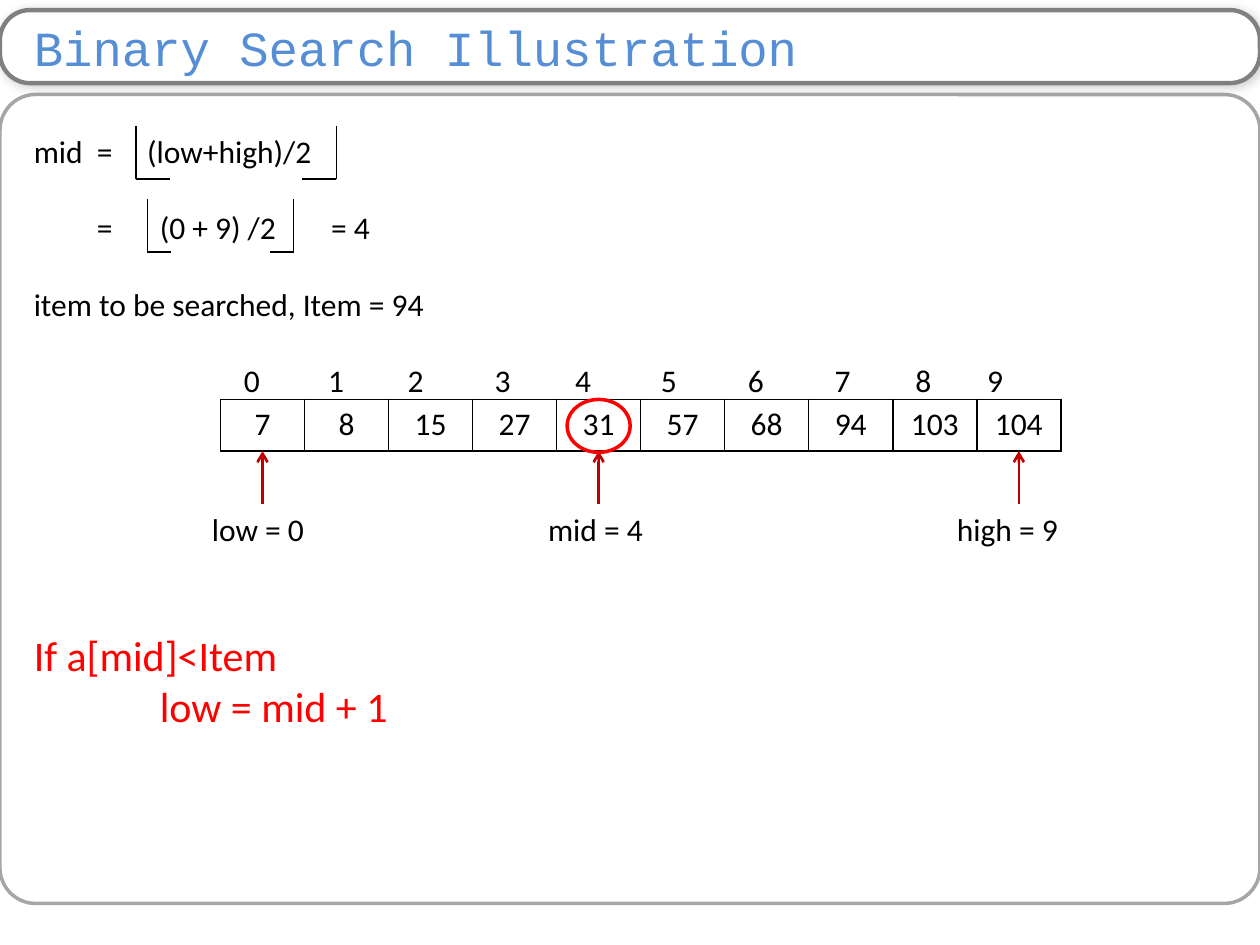
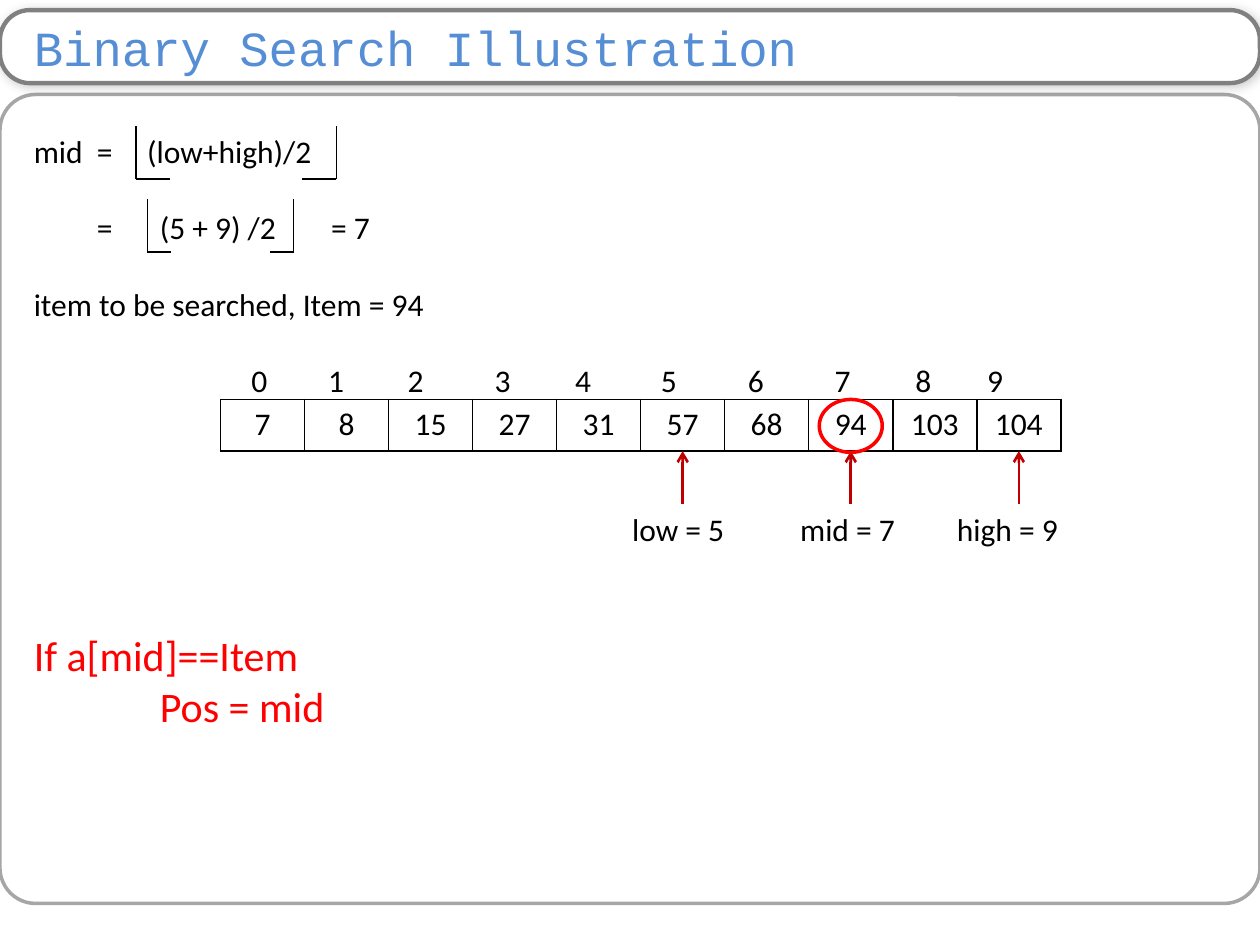
from lxml import etree
from pptx import Presentation
from pptx.dml.color import RGBColor
from pptx.enum.shapes import MSO_CONNECTOR, MSO_SHAPE
from pptx.enum.text import MSO_ANCHOR, MSO_AUTO_SIZE, PP_ALIGN
from pptx.oxml.ns import qn
from pptx.util import Inches, Pt

STRAIGHT = MSO_CONNECTOR.STRAIGHT
ROUNDED, OVAL = MSO_SHAPE.ROUNDED_RECTANGLE, MSO_SHAPE.OVAL
MIDDLE, GROW = MSO_ANCHOR.MIDDLE, MSO_AUTO_SIZE.SHAPE_TO_FIT_TEXT
LEFT, CENTER = PP_ALIGN.LEFT, PP_ALIGN.CENTER

WHITE = RGBColor(0xFF, 0xFF, 0xFF)
BLACK = RGBColor(0x00, 0x00, 0x00)
RED = RGBColor(0xFF, 0x00, 0x00)
DARK_RED = RGBColor(0xC0, 0x00, 0x00)
BLUE = RGBColor(0x55, 0x8E, 0xD5)
GRAY = RGBColor(0x80, 0x80, 0x80)
LIGHT_GRAY = RGBColor(0xA6, 0xA6, 0xA6)

VALUES = [7, 8, 15, 27, 31, 57, 68, 94, 103, 104]
ARRAY_LEFT, ARRAY_TOP, ARRAY_HEIGHT = 1.75, 3.17, 0.41
CELL_WIDTH = 6.67 / len(VALUES)
INDEX_TABS = [2.4, 3.03, 3.72, 4.36, 5.04, 5.73, 6.42, 7.06, 7.63]
FLOORS = [(1.08, 2.67, 1, 1.42, 0.27), (1.17, 2.33, 1.58, 2, 0.19)]
LABEL_OFFSETS = {"low": 0.5, "mid": 0.5, "high": 0.59}

STEPS = [
    {"low": 0, "mid": 4, "high": 9, "first_tab": 1.73,
     "test": "If a[mid]<Item", "action": "low = mid + 1"},
    {"low": 5, "mid": 7, "high": 9, "first_tab": 1.79,
     "test": "If a[mid]==Item", "action": "Pos = mid"},
]


def apply(target, **values):
    for name, value in values.items():
        setattr(target, name, value)


def add_xml(parent, tag, **attributes):
    return etree.SubElement(parent, qn(tag), attributes)


def cell_center(index):
    return ARRAY_LEFT + (index + 0.5) * CELL_WIDTH


class SearchDeck:
    def __init__(self):
        self.presentation = Presentation()
        apply(self.presentation, slide_width=Inches(10), slide_height=Inches(7.5))
        self.slide = None

    def new_slide(self):
        self.slide = self.presentation.slides.add_slide(
            self.presentation.slide_layouts[6])
        self.shape(ROUNDED, 0, 0.75, 10, 6.42, LIGHT_GRAY, 2, rounding=0.044)
        self.title("Binary Search Illustration")

    def fill_paragraph(self, paragraph, text, size=18, color=BLACK, font="Calibri",
                       align=LEFT, gap=0, tabs=(), tab_align="l"):
        apply(paragraph, alignment=align, space_before=Pt(gap))
        run = paragraph.add_run()
        run.text = text
        apply(run.font, size=Pt(size), name=font)
        run.font.color.rgb = color
        if tabs:
            tab_list = add_xml(paragraph._p.get_or_add_pPr(), "a:tabLst")
            for position in tabs:
                add_xml(tab_list, "a:tab", pos=str(Inches(position)), algn=tab_align)

    def shape(self, kind, left, top, width, height, color, weight,
              fill=None, rounding=None):
        shape = self.slide.shapes.add_shape(
            kind, Inches(left), Inches(top), Inches(width), Inches(height))
        shape.shadow.inherit = False
        if fill is None:
            shape.fill.background()
        else:
            shape.fill.solid()
            shape.fill.fore_color.rgb = fill
        shape.line.color.rgb = color
        shape.line.width = Pt(weight)
        if rounding is not None:
            shape.adjustments[0] = rounding
        return shape

    def title(self, text):
        band = self.shape(ROUNDED, 0, 0.08, 10, 0.58, GRAY, 2.5, WHITE, 0.409)
        effects = band._element.spPr.find(qn("a:effectLst"))
        shadow = add_xml(effects, "a:outerShdw", blurRad=str(Pt(6)),
                         dist=str(Pt(1)), dir="2700000", rotWithShape="0")
        tint = add_xml(shadow, "a:srgbClr", val=str(BLACK))
        add_xml(tint, "a:alpha", val="20000")
        apply(band.text_frame, vertical_anchor=MIDDLE, margin_left=Inches(0.2),
              margin_right=Inches(0.1), margin_top=0, margin_bottom=0)
        self.fill_paragraph(band.text_frame.paragraphs[0], text, 28, BLUE,
                            "Courier New")

    def text(self, left, top, width, height, paragraphs):
        box = self.slide.shapes.add_textbox(
            Inches(left), Inches(top), Inches(width), Inches(height))
        frame = box.text_frame
        apply(frame, word_wrap=True, auto_size=GROW)
        for number, content in enumerate(paragraphs):
            paragraph = frame.add_paragraph() if number else frame.paragraphs[0]
            self.fill_paragraph(paragraph, **content)

    def line(self, shapes, start, end, color=BLACK, weight=0.75, arrow=False):
        connector = shapes.add_connector(
            STRAIGHT, *(Inches(length) for length in (*start, *end)))
        connector.line.color.rgb = color
        connector.line.width = Pt(weight)
        if arrow:
            add_xml(connector.line._get_or_add_ln(), "a:tailEnd", type="arrow")
        add_xml(connector._element.spPr, "a:effectLst")

    def floor_brackets(self, left, right, top, bottom, foot):
        brackets = self.slide.shapes.add_group_shape().shapes
        for side, toe in ((left, left + foot), (right, right - foot)):
            self.line(brackets, (side, top), (side, bottom))
            self.line(brackets, (side, bottom), (toe, bottom))

    def array(self, values):
        table = self.slide.shapes.add_table(
            1, len(values), Inches(ARRAY_LEFT), Inches(ARRAY_TOP),
            Inches(CELL_WIDTH * len(values)), Inches(ARRAY_HEIGHT)).table
        apply(table, first_row=False, horz_banding=False)
        for column, value in enumerate(values):
            table.columns[column].width = Inches(CELL_WIDTH)
            cell = table.cell(0, column)
            properties = cell._tc.get_or_add_tcPr()
            for side in ("a:lnL", "a:lnR", "a:lnT", "a:lnB"):
                border = add_xml(properties, side, w=str(Pt(1)))
                add_xml(add_xml(border, "a:solidFill"), "a:srgbClr", val=str(BLACK))
            cell.fill.background()
            self.fill_paragraph(cell.text_frame.paragraphs[0], str(value),
                                align=CENTER)

    def pointer(self, name, index):
        center = cell_center(index)
        self.line(self.slide.shapes, (center, 4), (center, 3.58), DARK_RED, 1.5, True)
        self.text(center - LABEL_OFFSETS[name], 4, 1.33, 0.4,
                  [{"text": f"{name} = {index}"}])

    def search_step(self, low, mid, high, first_tab, test, action):
        self.new_slide()
        indices = "".join(f"\t{index}" for index in range(len(VALUES)))
        self.text(0.17, 1, 9.67, 5.76, [
            {"text": "mid\t=\t(low+high)/2", "tabs": (0.5, 0.9)},
            {"text": f"\t=\t({low} + {high}) /2\t= {mid}", "gap": 22,
             "tabs": (0.5, 1, 2.36)},
            {"text": "item to be searched, Item = 94", "gap": 22},
            {"text": indices, "gap": 22, "tabs": [first_tab, *INDEX_TABS],
             "tab_align": "ctr"},
            {"text": test, "size": 24, "color": RED, "gap": 132},
            {"text": f"\t{action}", "size": 24, "color": RED, "tabs": (1,)},
        ])
        for floor in FLOORS:
            self.floor_brackets(*floor)
        self.array(VALUES)
        for name, index in (("low", low), ("high", high), ("mid", mid)):
            self.pointer(name, index)
        self.shape(OVAL, cell_center(mid) - 0.25, ARRAY_TOP, 0.5, 0.42, RED, 2)


def main():
    deck = SearchDeck()
    for step in STEPS:
        deck.search_step(**step)
    deck.presentation.save("out.pptx")


if __name__ == "__main__":
    main()
